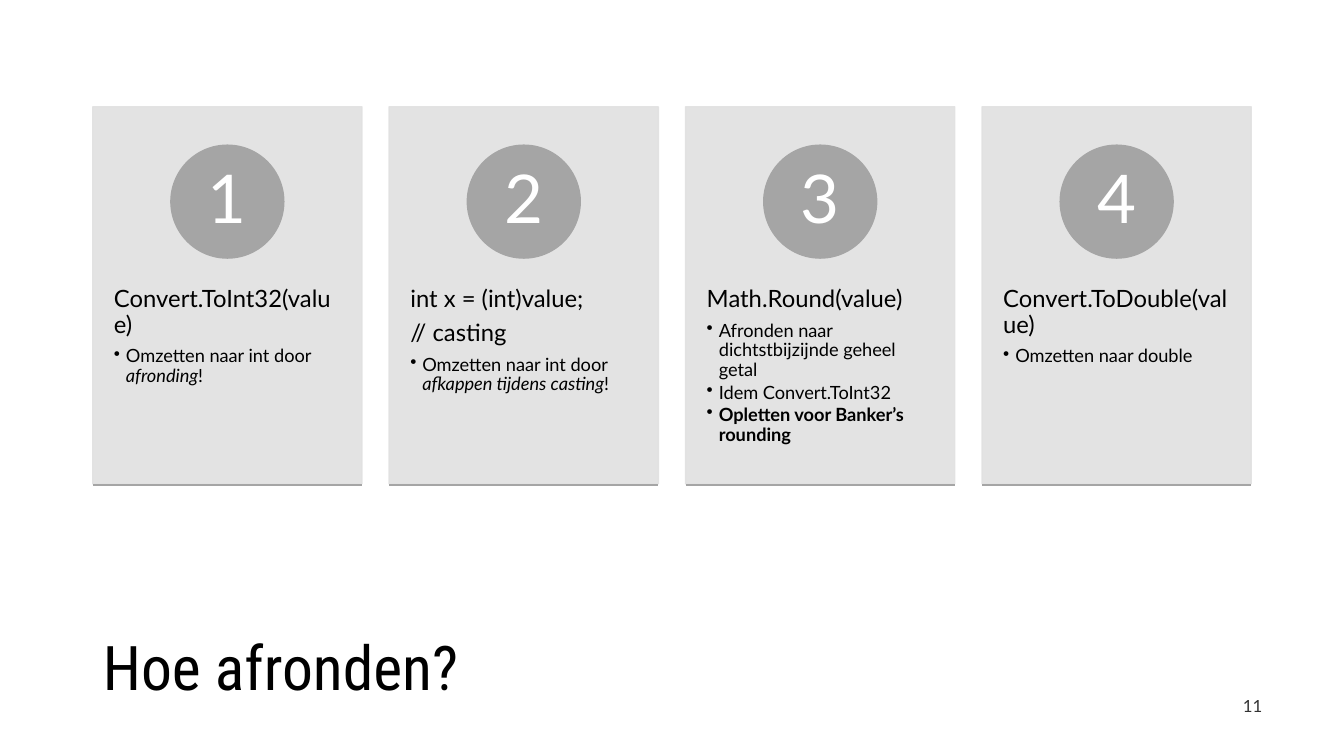
"""Build the slide with four numbered ways to round a value."""
from lxml import etree
from pptx import Presentation
from pptx.dml.color import RGBColor
from pptx.enum import shapes, text
from pptx.oxml.ns import qn
from pptx.util import Inches, Pt

COLORS = {"ink": "000000", "card": "E1E1E1", "accent": "A5A5A5", "white": "FFFFFF"}
BODY_FONT = "Lato"
TITLE_FONT = "Roboto Condensed"
CARD_LEFT, CARD_TOP, CARD_WIDTH, CARD_HEIGHT = 0.92, 1.06, 2.67, 3.74
CARD_STEP = 2.94
CIRCLE_SIZE = 1.12

CARDS = [
    (["Convert.ToInt32(value)"],
     [[("Omzetten naar int door ", ""), ("afronding", "italic"), ("!", "")]]),
    (["int x = (int)value;", "// casting"],
     [[("Omzetten naar int door ", ""), ("afkappen tijdens casting", "italic"), ("!", "")]]),
    (["Math.Round(value)"],
     [[("Afronden naar dichtstbijzijnde geheel getal", "")],
      [("Idem Convert.ToInt32", "")],
      [("Opletten voor Banker’s rounding", "bold")]]),
    (["Convert.ToDouble(value)"],
     [[("Omzetten naar double", "")]]),
]


def set_color(color, name, opacity=100):
    """Apply a palette colour, optionally translucent."""
    color.rgb = RGBColor.from_string(COLORS[name])
    if opacity < 100:
        node = color._xFill.find(qn("a:srgbClr"))
        etree.SubElement(node, qn("a:alpha"), val=str(opacity * 1000))


def style_span(span, size, color="ink", font=BODY_FONT, style="", opacity=100):
    """Format one run of text."""
    span.font.name = font
    span.font.size = Pt(size)
    span.font.bold = style == "bold"
    span.font.italic = style == "italic"
    span.font.fill.solid()
    set_color(span.font.fill.fore_color, color, opacity)


def set_frame(frame, anchor, side=0.1, top=0.05):
    """Set wrapping, anchoring and insets of a text frame."""
    frame.word_wrap = True
    frame.auto_size = text.MSO_AUTO_SIZE.NONE
    frame.vertical_anchor = anchor
    frame.margin_left = frame.margin_right = Inches(side)
    frame.margin_top = frame.margin_bottom = Inches(top)


def add_line_of_text(frame, content, size, align=text.PP_ALIGN.LEFT, **look):
    """Fill a frame with one formatted paragraph."""
    frame.text = content
    para = frame.paragraphs[0]
    para.alignment = align
    para.line_spacing = 0.9
    style_span(para.runs[0], size, **look)


def add_block(page, kind, left, top, width, height, color, opacity=100):
    """Add a shape whose fill and outline share a colour."""
    block = page.shapes.add_shape(
        kind, Inches(left), Inches(top), Inches(width), Inches(height))
    block.shadow.inherit = False
    block.fill.solid()
    set_color(block.fill.fore_color, color, opacity)
    block.line.width = Pt(1)
    block.line.fill.solid()
    set_color(block.line.fill.fore_color, color, opacity)
    return block


def add_rule(page, left, top, width):
    """Add a thin horizontal line."""
    rule = page.shapes.add_connector(
        shapes.MSO_CONNECTOR.STRAIGHT, Inches(left), Inches(top),
        Inches(left + width), Inches(top))
    rule.line.width = Pt(1)
    set_color(rule.line.color, "accent")
    etree.SubElement(rule._element.spPr, qn("a:effectLst"))


def make_bullet(para):
    """Turn a paragraph into a hanging bullet item."""
    props = para._p.get_or_add_pPr()
    props.set("marL", str(Inches(0.12)))
    props.set("indent", str(Inches(-0.12)))
    etree.SubElement(props, qn("a:buChar"), char="•")


def add_card_text(page, left, headings, bullets):
    """Add the code headings and bullet items of a card."""
    box = page.shapes.add_textbox(
        Inches(left), Inches(2.49), Inches(CARD_WIDTH), Inches(2.25))
    frame = box.text_frame
    set_frame(frame, text.MSO_ANCHOR.TOP, side=0.21, top=0.36)
    rows = [([(heading, "")], 17, 6) for heading in headings]
    rows += [(bullet, 13, 2) for bullet in bullets]
    for index, (spans, size, gap) in enumerate(rows):
        para = frame.add_paragraph() if index else frame.paragraphs[0]
        para.line_spacing = 0.9
        para.space_after = Pt(gap)
        if index >= len(headings):
            para.level = 1
            make_bullet(para)
        for content, style in spans:
            span = para.add_run()
            span.text = content
            style_span(span, size, style=style)


def add_card(page, number, headings, bullets):
    """Add one numbered card."""
    left = CARD_LEFT + (number - 1) * CARD_STEP
    add_block(page, shapes.MSO_SHAPE.RECTANGLE, left, CARD_TOP,
              CARD_WIDTH, CARD_HEIGHT, "card", 90)
    add_card_text(page, left, headings, bullets)
    circle = add_block(page, shapes.MSO_SHAPE.OVAL, left + (CARD_WIDTH - CIRCLE_SIZE) / 2,
                       1.44, CIRCLE_SIZE, CIRCLE_SIZE, "accent")
    set_frame(circle.text_frame, text.MSO_ANCHOR.MIDDLE, side=0.09, top=0.01)
    add_line_of_text(circle.text_frame, str(number), 48,
                     text.PP_ALIGN.CENTER, color="white")
    add_rule(page, left, CARD_TOP + CARD_HEIGHT + 0.01, CARD_WIDTH)


def add_title(page, content):
    """Place and format the title placeholder."""
    title = page.shapes.title
    title.left, title.top = Inches(0.92), Inches(6.05)
    title.width, title.height = Inches(8.83), Inches(1.2)
    set_frame(title.text_frame, text.MSO_ANCHOR.MIDDLE)
    add_line_of_text(title.text_frame, content, 44, font=TITLE_FONT)


def add_page_number(page, number):
    """Add the page number at the bottom right."""
    box = page.shapes.add_textbox(Inches(11.15), Inches(6.85), Inches(1.47), Inches(0.4))
    set_frame(box.text_frame, text.MSO_ANCHOR.TOP)
    add_line_of_text(box.text_frame, number, 12, text.PP_ALIGN.RIGHT, opacity=80)
    box.text_frame.paragraphs[0].line_spacing = 1.0


def main():
    """Build and save the deck."""
    deck = Presentation()
    deck.slide_width, deck.slide_height = Inches(13.33), Inches(7.5)
    page = deck.slides.add_slide(deck.slide_layouts.get_by_name("Title Only"))
    add_title(page, "Hoe afronden?")
    add_page_number(page, "11")
    for number, (headings, bullets) in enumerate(CARDS, start=1):
        add_card(page, number, headings, bullets)
    deck.save("out.pptx")


if __name__ == "__main__":
    main()
